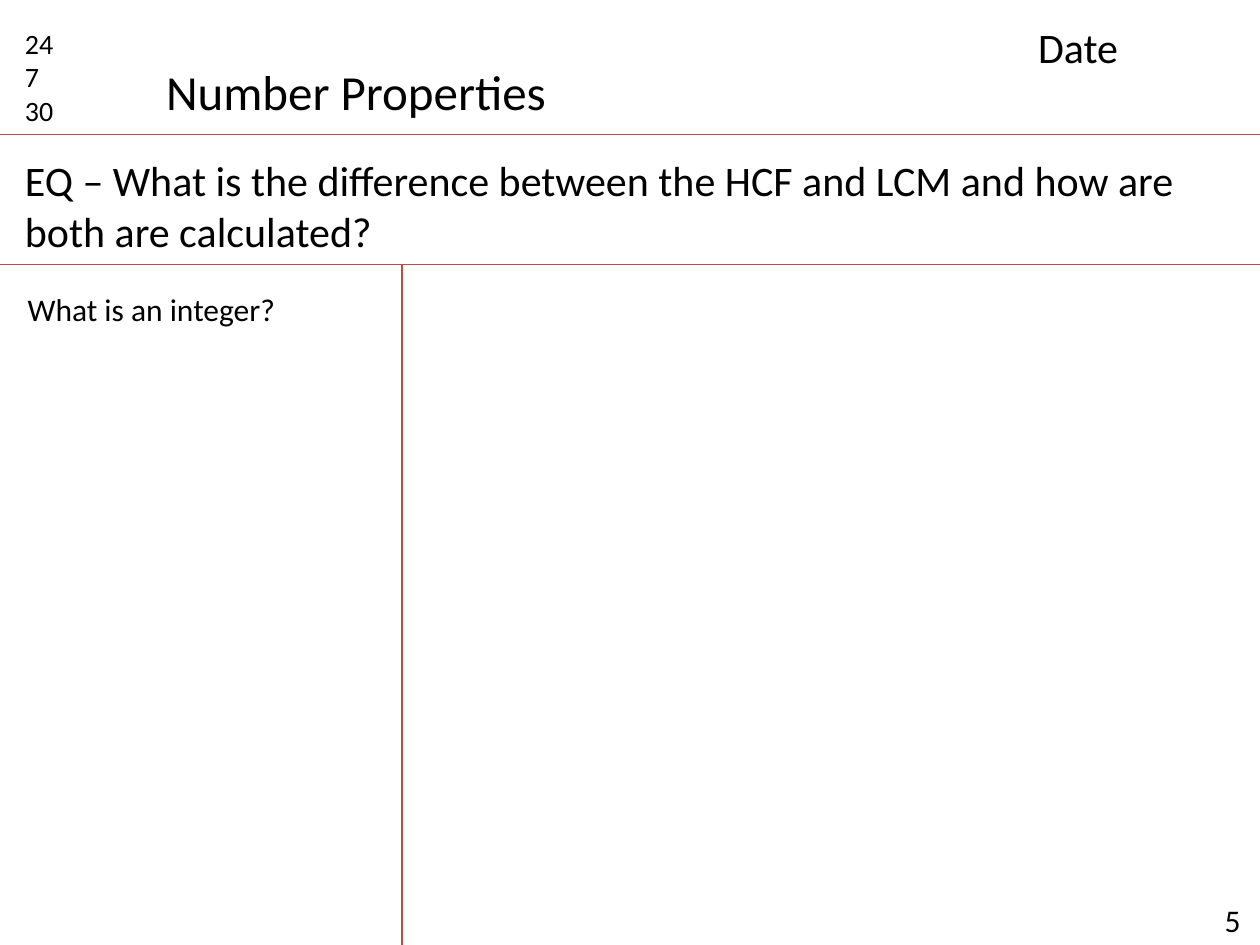
from collections import namedtuple

from lxml.etree import SubElement
from pptx import Presentation
from pptx.dml.color import RGBColor
from pptx.enum.shapes import MSO_CONNECTOR
from pptx.enum.text import MSO_AUTO_SIZE
from pptx.oxml.ns import qn
from pptx.util import Inches, Pt

WIDTH, HEIGHT = 10, 7.5
HEADER_END, QUESTION_END, CUE_END = 1.07, 2.1, 3.19
FONT, INK, RULE = "Calibri", "000000", "BF4C48"

# Lengths in inches; a region's parts are placed from its left and top
Region = namedtuple("Region", "left top width height")


def color(value):
    return RGBColor.from_string(value)


def add_text(page, region, text, x, y, width, height, size=18, wrap=True):
    box = page.shapes.add_textbox(
        Inches(region.left + x), Inches(region.top + y), Inches(width), Inches(height))
    frame = box.text_frame
    frame.word_wrap = wrap
    frame.auto_size = MSO_AUTO_SIZE.SHAPE_TO_FIT_TEXT
    for index, line in enumerate(text.split("\n")):
        para = frame.paragraphs[0] if index == 0 else frame.add_paragraph()
        span = para.add_run()
        span.text = line
        span.font.name = FONT
        span.font.size = Pt(size)
        span.font.color.rgb = color(INK)


def add_rule(page, x1, y1, x2, y2):
    rule = page.shapes.add_connector(
        MSO_CONNECTOR.STRAIGHT, Inches(x1), Inches(y1), Inches(x2), Inches(y2))
    rule.line.color.rgb = color(RULE)
    rule.line.width = Pt(0.75)
    SubElement(rule._element.spPr, qn("a:effectLst"))


def add_bottom_rule(page, region):
    bottom = region.top + region.height
    add_rule(page, region.left, bottom, region.left + region.width, bottom)


def add_header(page, region):
    add_bottom_rule(page, region)
    add_text(page, region, "24\n7\n30", 0.1, 0.16, 0.63, 0.91, size=16)
    add_text(page, region, "Number Properties", 1.22, 0.44, 3.25, 0.57, size=28, wrap=False)
    add_text(page, region, "Date", 8.14, 0.12, 1.73, 0.5, size=24)


def add_question(page, region):
    add_bottom_rule(page, region)
    add_text(
        page, region,
        "EQ – What is the difference between the HCF and LCM and how are both are calculated?",
        0.1, 0.11, 9.43, 0.91, size=24)


def add_notes_area(page, region):
    # Cue column on the left, open space for notes on the right
    add_rule(page, CUE_END, region.top, CUE_END, region.top + region.height)
    add_text(page, region, "What is an integer?", 0.12, 0.15, 2.19, 0.4, wrap=False)
    # Page number in the lower right corner
    add_text(page, region, "5", region.width - 0.38, region.height - 0.4, 0.38, 0.4)


def main():
    deck = Presentation()
    deck.slide_width, deck.slide_height = Inches(WIDTH), Inches(HEIGHT)
    page = deck.slides.add_slide(deck.slide_layouts[6])

    # Three bands stacked down the page
    edges = [0, HEADER_END, QUESTION_END, HEIGHT]
    bands = [Region(0, top, WIDTH, end - top) for top, end in zip(edges, edges[1:])]
    for add_band, band in zip([add_header, add_question, add_notes_area], bands):
        add_band(page, band)

    deck.save("out.pptx")


if __name__ == "__main__":
    main()
